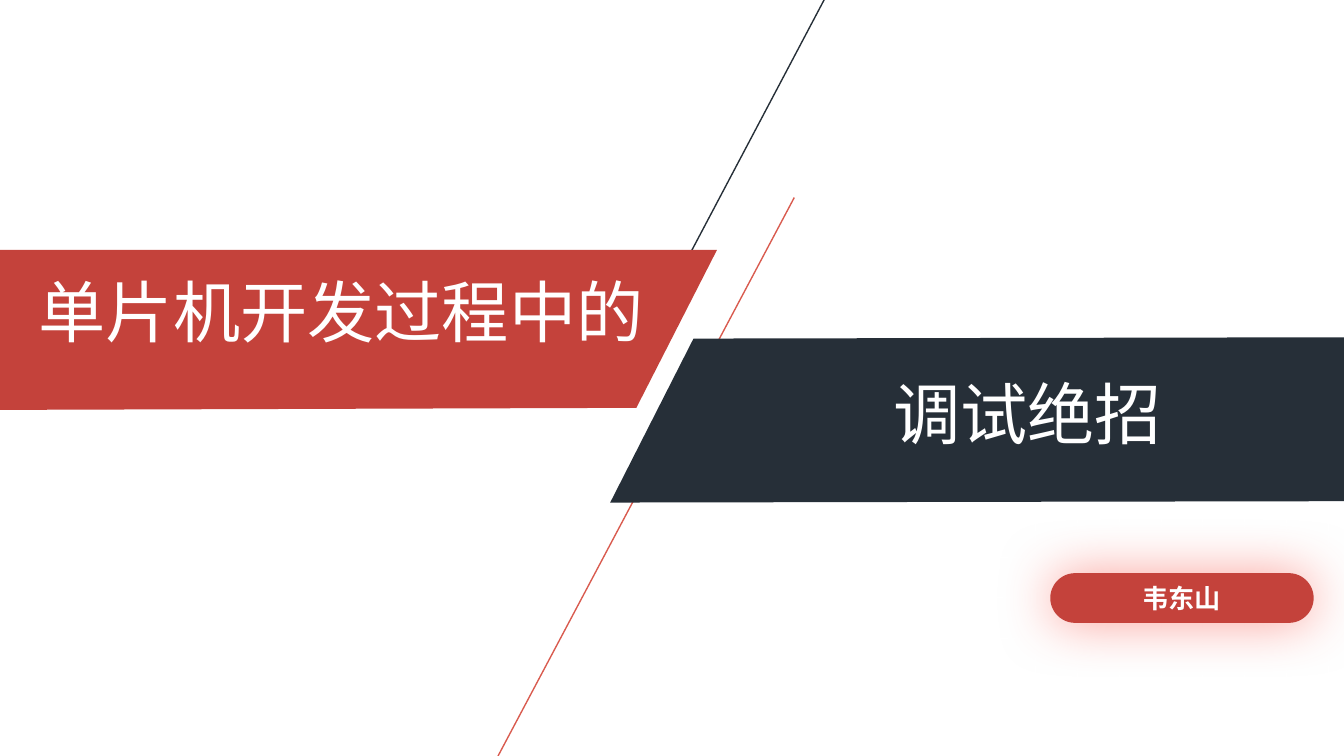
from lxml import etree
from pptx import Presentation, util as u
from pptx.dml.color import RGBColor
from pptx.enum import shapes, text
from pptx.oxml import ns

W = u.Inches(10)
H = W * 9 // 16
UNIT = W / 100
FONT = "Noto Sans CJK SC"
RED, DARK, CORAL, GLOW, WHITE = "C4423B", "262F38", "D95B4F", "F84639", "FFFFFF"


def grid(*cells):
    """Turn counts of grid cells, a hundred to the slide's width, into lengths."""
    return [u.Emu(round(c * UNIT)) for c in cells]


def rgb(color):
    """Turn a hex string into a colour."""
    return RGBColor.from_string(color)


def child(parent, tag, **attrs):
    """Append a DrawingML element to its parent."""
    return etree.SubElement(parent, ns.qn(f"a:{tag}"), attrs)


def paint(sp, color):
    """Give a shape a flat fill with neither outline nor shadow."""
    sp.shadow.inherit = False
    sp.fill.solid()
    sp.fill.fore_color.rgb = rgb(color)
    sp.line.fill.background()


def label(s, box, words, size, align, inset=(0.1, 0.05), bold=False):
    """Place one line of white text in a box."""
    tf = s.shapes.add_textbox(*grid(*box)).text_frame
    tf.word_wrap = True
    tf.auto_size = text.MSO_AUTO_SIZE.SHAPE_TO_FIT_TEXT
    tf.margin_left = tf.margin_right = u.Inches(inset[0])
    tf.margin_top = tf.margin_bottom = u.Inches(inset[1])
    p = tf.paragraphs[0]
    p.text, p.alignment = words, align
    p.font.size, p.font.bold, p.font.name = u.Pt(size), bold, FONT
    p.font.color.rgb = rgb(WHITE)
    child(p._p.pPr.find(ns.qn("a:defRPr")), "ea", typeface=FONT)


def slant(s, start, end, color):
    """Draw a thin slanted line."""
    line = s.shapes.add_connector(shapes.MSO_CONNECTOR.STRAIGHT, *grid(*start, *end))
    line.line.color.rgb = rgb(color)
    line.line.width = u.Pt(0.75)
    child(line._element.spPr, "effectLst")


def banner(s, box, corners, color, words, text_box, align, **style):
    """Draw a slanted banner from corners and a text box relative to its box."""
    x, y = box
    points = [grid(x + dx, y + dy) for dx, dy in corners]
    pen = s.shapes.build_freeform(*points[0])
    pen.add_line_segments(points[1:], close=True)
    paint(pen.convert_to_shape(), color)
    dx, dy, w, h = text_box
    label(s, (x + dx, y + dy, w, h), words, 36, align, **style)


def author_pill(s, box, name):
    """Draw the glowing rounded label with the author's name."""
    x, y, w, h = box
    sp = s.shapes.add_shape(shapes.MSO_SHAPE.ROUNDED_RECTANGLE, *grid(*box))
    sp.adjustments[0] = 0.5
    paint(sp, RED)
    effects = sp._element.spPr.find(ns.qn("a:effectLst"))
    glow = child(effects, "outerShdw", blurRad=str(u.Pt(30)), dist="0", dir="0",
                 algn="ctr", rotWithShape="0")
    child(child(glow, "srgbClr", val=GLOW), "alpha", val="50000")
    label(s, (x - 0.9, y + 0.2, w + 1.7, h - 0.3), name, 14,
          text.PP_ALIGN.CENTER, bold=True)


def title_slide(prs):
    """Build the title slide."""
    s = prs.slides.add_slide(prs.slide_layouts[6])
    slant(s, (62, -1.3), (46.1, 28.8), DARK)
    slant(s, (59.1, 14.7), (35.6, 59), CORAL)
    banner(s, (-0.1, 18.6),
           [(0, 0), (53.45, 0), (47.45, 11.75), (0, 11.9)], RED,
           "单片机开发过程中的", (2, 1.05, 47.8, 7.1), text.PP_ALIGN.LEFT)
    author_pill(s, (78.15, 42.65, 19.6, 3.7), "韦东山")
    banner(s, (45.4, 25.1),
           [(54.8, 12.2), (0, 12.3), (6.2, 0.1), (54.8, 0)], DARK,
           "调试绝招", (7.5, 2.6, 47.1, 6.1), text.PP_ALIGN.CENTER, inset=(0, 0))


def main():
    """Create and save the presentation."""
    prs = Presentation()
    prs.slide_width, prs.slide_height = W, H
    title_slide(prs)
    prs.save("out.pptx")


if __name__ == "__main__":
    main()
